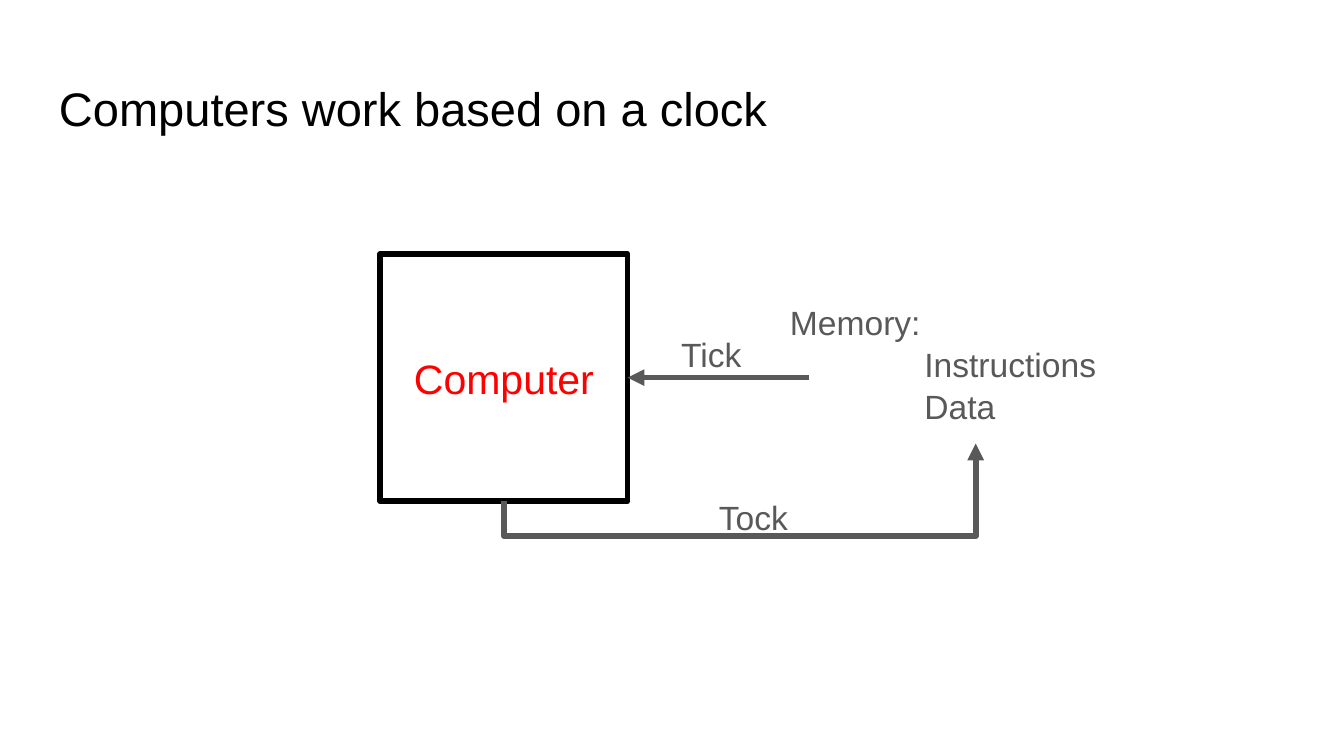
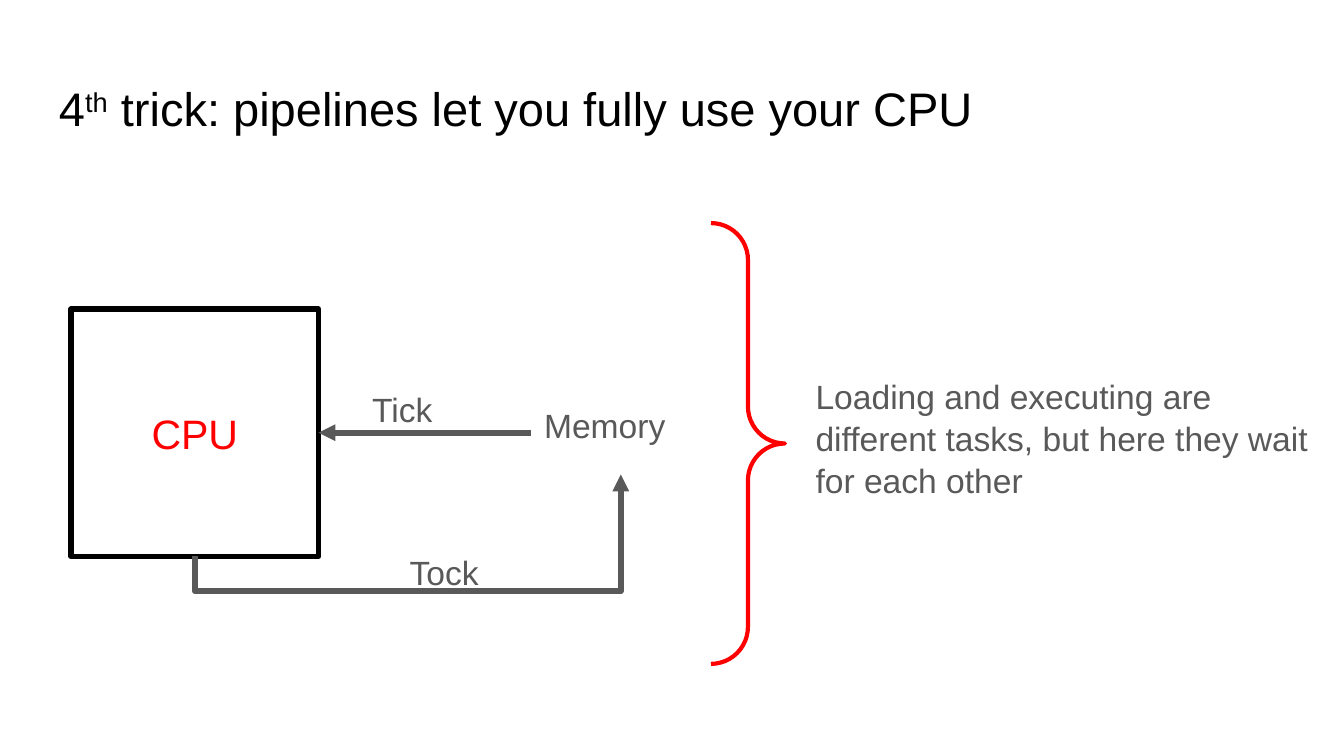
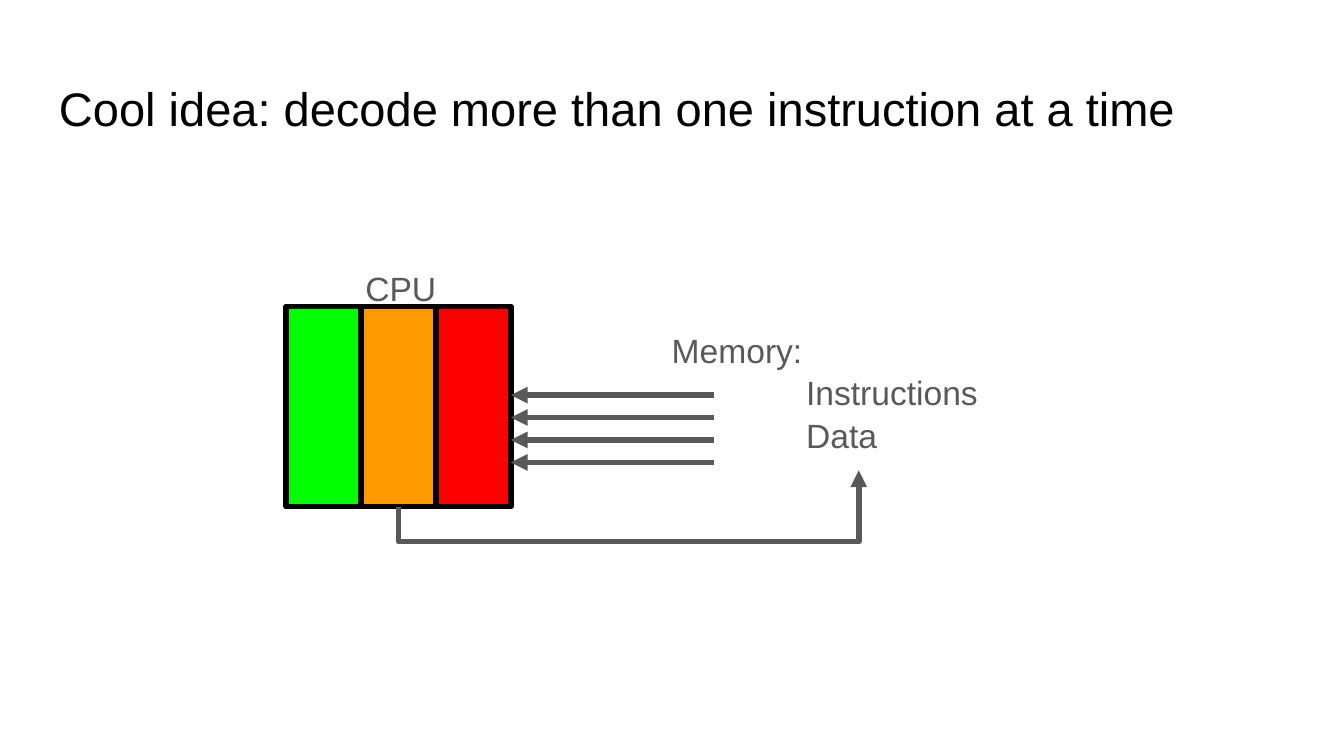
from lxml import etree
from pptx import Presentation
from pptx.dml.color import RGBColor
from pptx.enum.shapes import MSO_CONNECTOR, MSO_SHAPE
from pptx.enum.text import MSO_ANCHOR, PP_ALIGN
from pptx.oxml.ns import qn
from pptx.util import Inches, Pt

BLACK = RGBColor(0x00, 0x00, 0x00)
GRAY = RGBColor(0x59, 0x59, 0x59)
RED = RGBColor(0xFF, 0x00, 0x00)
AMBER = RGBColor(0xFF, 0x99, 0x00)
GREEN = RGBColor(0x00, 0xFF, 0x00)

RECT, BRACE = MSO_SHAPE.RECTANGLE, MSO_SHAPE.RIGHT_BRACE
LINE, ELBOW = MSO_CONNECTOR.STRAIGHT, MSO_CONNECTOR.ELBOW
TOP, MIDDLE = MSO_ANCHOR.TOP, MSO_ANCHOR.MIDDLE
LEFT, CENTER = PP_ALIGN.LEFT, PP_ALIGN.CENTER

FONT = "Arial"
WIDTH, HEIGHT = Inches(10), Inches(5.625)
CELL = WIDTH // 100     # a square grid, 100 columns wide
BOX = 18.4              # side of the computer box, in cells
DROP = 2.6              # how far the return path dips below a box
MEMORY = "Memory:\n\tInstructions\n\tData"


def cells(*counts):
    return [round(n * CELL) for n in counts]


def write(frame, text, size=18, color=GRAY, align=LEFT, anchor=TOP, space=1.05):
    """Fill a text frame; parts between ^ signs are raised."""
    frame.word_wrap = True
    frame.vertical_anchor = anchor
    frame.margin_left = frame.margin_right = CELL
    frame.margin_top = frame.margin_bottom = CELL
    for i, row in enumerate(text.split("\n")):
        para = frame.add_paragraph() if i else frame.paragraphs[0]
        para.alignment = align
        para.line_spacing = space
        if row.startswith("\t"):
            tabs = etree.SubElement(para._p.get_or_add_pPr(), qn("a:tabLst"))
            etree.SubElement(tabs, qn("a:tab"), pos=str(10 * CELL), algn="l")
        for j, part in enumerate(row.split("^")):
            run = para.add_run()
            run.text = part
            run.font.name = FONT
            run.font.size = Pt(size)
            run.font.color.rgb = color
            if j % 2:
                run._r.get_or_add_rPr().set("baseline", "30000")


class Deck:
    """Holds the shared style and the current slide."""

    def __init__(self):
        self.prs = Presentation()
        self.prs.slide_width, self.prs.slide_height = WIDTH, HEIGHT
        self.items = None

    def page(self, title):
        slide = self.prs.slides.add_slide(self.prs.slide_layouts[6])
        self.items = slide.shapes
        self.text(title, 3.4, 4.9, 93.2, 6.3, size=25.2, color=BLACK,
                  anchor=MIDDLE, space=1.0)

    def text(self, text, x, y, w, h, **form):
        write(self.items.add_textbox(*cells(x, y, w, h)).text_frame, text, **form)

    def shape(self, kind, x, y, w, h, fill=None, line=BLACK, weight=3):
        item = self.items.add_shape(kind, *cells(x, y, w, h))
        item.shadow.inherit = False
        if fill is None:
            item.fill.background()
        else:
            item.fill.solid()
            item.fill.fore_color.rgb = fill
        item.line.color.rgb = line
        item.line.width = Pt(weight)
        etree.SubElement(item.line._get_or_add_ln(), qn("a:round"))
        return item

    def link(self, kind, x1, y1, x2, y2, tip):
        item = self.items.add_connector(kind, *cells(x1, y1, x2, y2))
        item.line.color.rgb = GRAY
        item.line.width = Pt(3)
        edge = item.line._get_or_add_ln()
        etree.SubElement(edge, qn("a:round"))
        etree.SubElement(edge, qn(tip), type="triangle")
        etree.SubElement(item._element.spPr, qn("a:effectLst"))
        return item

    def arrow(self, x, y, end):
        """Arrow that points left, from end to x."""
        self.link(LINE, x, y, end, y, "a:headEnd")

    def back(self, x, y, end, top):
        """Path that dips from (x, y), runs right and rises to (end, top)."""
        item = self.link(ELBOW, x, y, end, top, "a:tailEnd")
        rise, run = y - top, end - x
        # The frame is turned a quarter left about its centre
        frame = item._element.spPr.find(qn("a:xfrm"))
        frame.attrib.pop("flipV", None)
        frame.set("rot", "16200000")
        item.left, item.top, item.width, item.height = cells(
            (x + end - rise) / 2, (y + top - run) / 2, rise, run)
        guides = item._element.spPr.find(qn("a:prstGeom")).find(qn("a:avLst"))
        etree.SubElement(guides, qn("a:gd"), name="adj1",
                         fmla=f"val {round(-DROP / rise * 100000)}")

    def clock(self, name, x, y, start, end, top):
        """Box with its tick arrow in and its tock path out."""
        box = self.shape(RECT, x, y, BOX, BOX)
        write(box.text_frame, name, size=22, color=RED, align=CENTER,
              anchor=MIDDLE, space=1.0)
        self.arrow(x + BOX, y + BOX / 2, start)
        self.back(x + BOX / 2, y + BOX, end, top)
        self.text("Tick", x + 21.4, y + 4.8, 7.5, 3)
        self.text("Tock", x + 24.2, y + 16.9, 11.5, 3)


def main():
    deck = Deck()

    # Clock
    deck.page("Computers work based on a clock")
    deck.clock("Computer", 28.3, 18.9, start=60.2, end=72.6, top=33)
    deck.text(MEMORY, 57.8, 21.3, 29.7, 11.7)

    # Pipelines
    deck.page("4^th^ trick: pipelines let you fully use your CPU")
    deck.clock("CPU", 5.3, 23, start=39.5, end=46.2, top=35.3)
    deck.text("Memory", 39.5, 29, 13.5, 6.3)
    brace = deck.shape(BRACE, 52.9, 16.6, 5.5, 32.8, line=RED, weight=2.25)
    brace.adjustments[0] = brace.adjustments[1] = 0.5
    deck.text("Loading and executing are different tasks, "
              "but here they wait for each other", 59.7, 26.8, 39.6, 10.7)

    # Wide decode
    deck.page("Cool idea: decode more than one instruction at a time")
    left, top, wide, tall = 21.3, 22.8, 5.57, 14.9
    for i, fill in reversed(list(enumerate((GREEN, AMBER, RED)))):
        deck.shape(RECT, left + i * wide, top, wide, tall, fill=fill)
    deck.text("CPU", 26.2, 18.8, 9, 4)
    deck.text(MEMORY, 49, 23.4, 29.7, 11.7)
    deck.back(left + 1.5 * wide, top + tall, 63.9, 35)
    for i in range(4):
        deck.arrow(left + 3 * wide, 29.4 + i * 1.67, 53.1)

    deck.prs.save("out.pptx")


if __name__ == "__main__":
    main()
